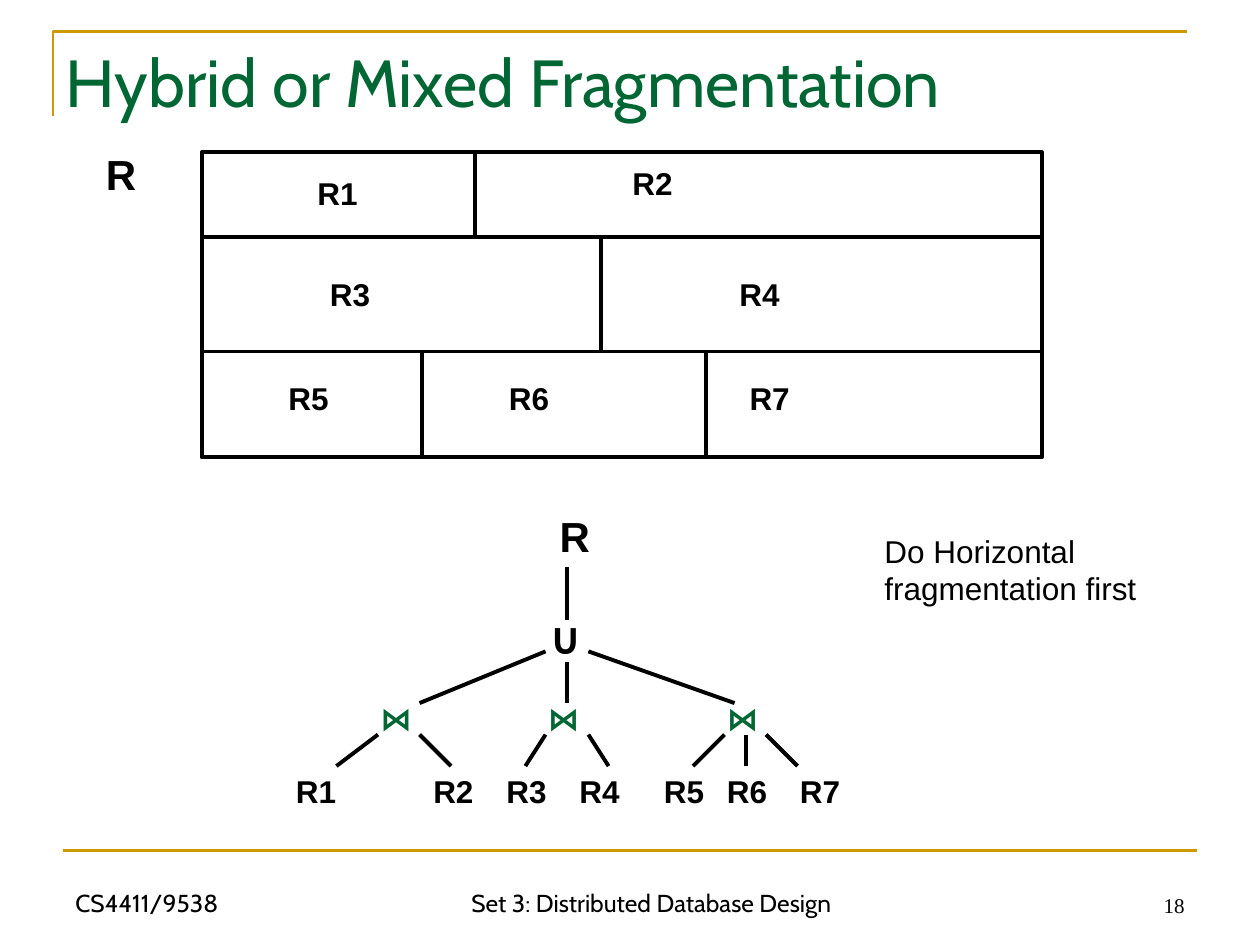
from lxml.etree import SubElement
from pptx import Presentation
from pptx.dml.color import RGBColor
from pptx.enum.shapes import MSO_CONNECTOR, MSO_SHAPE
from pptx.enum.text import MSO_ANCHOR, PP_ALIGN
from pptx.oxml.ns import qn
from pptx.util import Inches, Pt

COLORS = {"ink": "000000", "green": "006633", "gold": "CC9900"}
LABEL = {"size": Pt(18), "name": "Arial", "bold": True}
ROOT = {**LABEL, "size": Pt(24)}
UNION = {**ROOT, "name": "Noto Sans Mono"}
NOTE = {**LABEL, "bold": False}
FOOTER = {"size": Pt(14), "name": "Cabin", "bold": False}
NUMBER = {"size": Pt(12), "name": "Times New Roman", "bold": False}
TITLE = {"size": Pt(38), "name": "Cabin", "bold": False}

ROWS = [
    (0, 0.67, [2.17], [("R1", 0.82, 0.12), ("R2", 3.32, 0.04)]),
    (0.67, 1.58, [3.17], [("R3", 0.92, 0.92), ("R4", 4.17, 0.92)]),
    (1.58, 2.42, [1.75, 4], [("R5", 0.59, 1.75), ("R6", 2.34, 1.75), ("R7", 4.25, 1.75)]),
]
JOINS = [
    (0.67, (2.08, 1.17, 1.08, 1.58), [("R1", 0, 0.75, 0.42), ("R2", 1.09, 1.08, 1.33)]),
    (2, (2.25, 1.25, 2.25, 1.58), [("R3", 1.67, 2.08, 1.92), ("R4", 2.25, 2.42, 2.58)]),
    (3.42, (2.42, 1.17, 3.58, 1.58),
     [("R5", 2.92, 3.5, 3.25), ("R6", 3.42, 3.67, 3.67), ("R7", 4, 3.83, 4.08)]),
]


def style_text(frame, text, font_format, color="ink", align=PP_ALIGN.LEFT):
    """Write one paragraph and apply its font, colour and alignment."""
    paragraph = frame.paragraphs[0]
    paragraph.alignment = align
    run = paragraph.add_run()
    run.text = text
    for attribute, value in font_format.items():
        setattr(run.font, attribute, value)
    run.font.color.rgb = RGBColor.from_string(COLORS[color])


def add_text(slide, box, text, font_format, color="ink", align=PP_ALIGN.LEFT,
             anchor=MSO_ANCHOR.TOP, wrap=False):
    """Place a text box at a box given in inches."""
    frame = slide.shapes.add_textbox(*map(Inches, box)).text_frame
    frame.word_wrap = wrap
    frame.vertical_anchor = anchor
    style_text(frame, text, font_format, color, align)


def style_line(line, color="ink", width=2.25):
    """Set the colour and width of a line."""
    line.color.rgb = RGBColor.from_string(COLORS[color])
    line.width = Pt(width)


def add_line(slide, x1, y1, x2, y2, color="ink", width=2.25):
    """Draw a straight line without a shadow."""
    connector = slide.shapes.add_connector(
        MSO_CONNECTOR.STRAIGHT, *map(Inches, (x1, y1, x2, y2)))
    style_line(connector.line, color, width)
    SubElement(connector._element.spPr, qn("a:effectLst"))


def add_title(slide, left, top, width, height):
    """Place the title with its gold corner rule."""
    builder = slide.shapes.build_freeform(Inches(left), Inches(top + 0.67))
    builder.add_line_segments(
        [(Inches(left), Inches(top)), (Inches(left + width), Inches(top))], close=False)
    corner = builder.convert_to_shape()
    corner.shadow.inherit = False
    corner.fill.background()
    style_line(corner.line, "gold", 1.5)

    title = slide.shapes.title
    title.left, title.top, title.width, title.height = map(
        Inches, (left, top, width, height))
    title.text_frame.vertical_anchor = MSO_ANCHOR.MIDDLE
    style_text(title.text_frame, "Hybrid or Mixed Fragmentation", TITLE, "green")


def add_relation(slide, left, top, width, height):
    """Draw relation R divided into horizontal, then vertical fragments."""
    frame = slide.shapes.add_shape(
        MSO_SHAPE.RECTANGLE, *map(Inches, (left, top, width, height)))
    frame.shadow.inherit = False
    frame.fill.background()
    style_line(frame.line)
    add_text(slide, (left - 0.86, top - 0.08, 0.44, 0.5), "R", ROOT, align=PP_ALIGN.RIGHT)
    for row_top, row_bottom, dividers, fragments in ROWS:
        if row_top:
            add_line(slide, left, top + row_top, left + width, top + row_top)
        for divider in dividers:
            add_line(slide, left + divider, top + row_top, left + divider, top + row_bottom)
        for name, dx, dy in fragments:
            add_text(slide, (left + dx, top + dy, 0.52, 0.4), name, LABEL)


def add_tree(slide, left, top):
    """Draw the tree that rebuilds R by a union of joins."""
    add_text(slide, (left + 2.09, top, 0.44, 0.5), "R", ROOT, align=PP_ALIGN.RIGHT)
    add_line(slide, left + 2.25, top + 0.5, left + 2.25, top + 0.92)
    add_text(slide, (left + 2.04, top + 0.83, 0.47, 0.5), "∪", UNION)
    for join_left, (x1, y1, x2, y2), leaves in JOINS:
        add_line(slide, left + x1, top + y1, left + x2, top + y2)
        add_text(slide, (left + join_left, top + 1.5, 0.6, 0.4), "⋈", LABEL, "green", wrap=True)
        for name, leaf_left, start, end in leaves:
            add_line(slide, left + start, top + 1.83, left + end, top + 2.08)
            add_text(slide, (left + leaf_left, top + 2.08, 0.52, 0.4), name, LABEL)


def add_footer(slide, left, top, width):
    """Place the footer rule, course, lecture and slide number."""
    add_line(slide, left, top, left + width, top, "gold", 1.5)
    for dx, part_width, text, font_format, align in [
        (0, 2.33, "CS4411/9538", FOOTER, PP_ALIGN.LEFT),
        (2.92, 3.5, "Set 3: Distributed Database Design", FOOTER, PP_ALIGN.CENTER),
        (width - 2.33, 2.33, "18", NUMBER, PP_ALIGN.RIGHT),
    ]:
        add_text(slide, (left + dx, top + 0.08, part_width, 0.5), text, font_format,
                 align=align, anchor=MSO_ANCHOR.BOTTOM, wrap=True)


def main():
    """Build and save the slide."""
    deck = Presentation()
    deck.slide_width, deck.slide_height = Inches(10), Inches(7.5)
    slide = deck.slides.add_slide(deck.slide_layouts[5])
    add_title(slide, 0.42, 0.25, 9, 0.78)
    add_relation(slide, 1.6, 1.21, 6.67, 2.42)
    add_tree(slide, 2.25, 4)
    add_text(slide, (6.92, 4.17, 2.42, 0.7), "Do Horizontal fragmentation first", NOTE, wrap=True)
    add_footer(slide, 0.5, 6.75, 9)
    deck.save("out.pptx")


if __name__ == "__main__":
    main()
